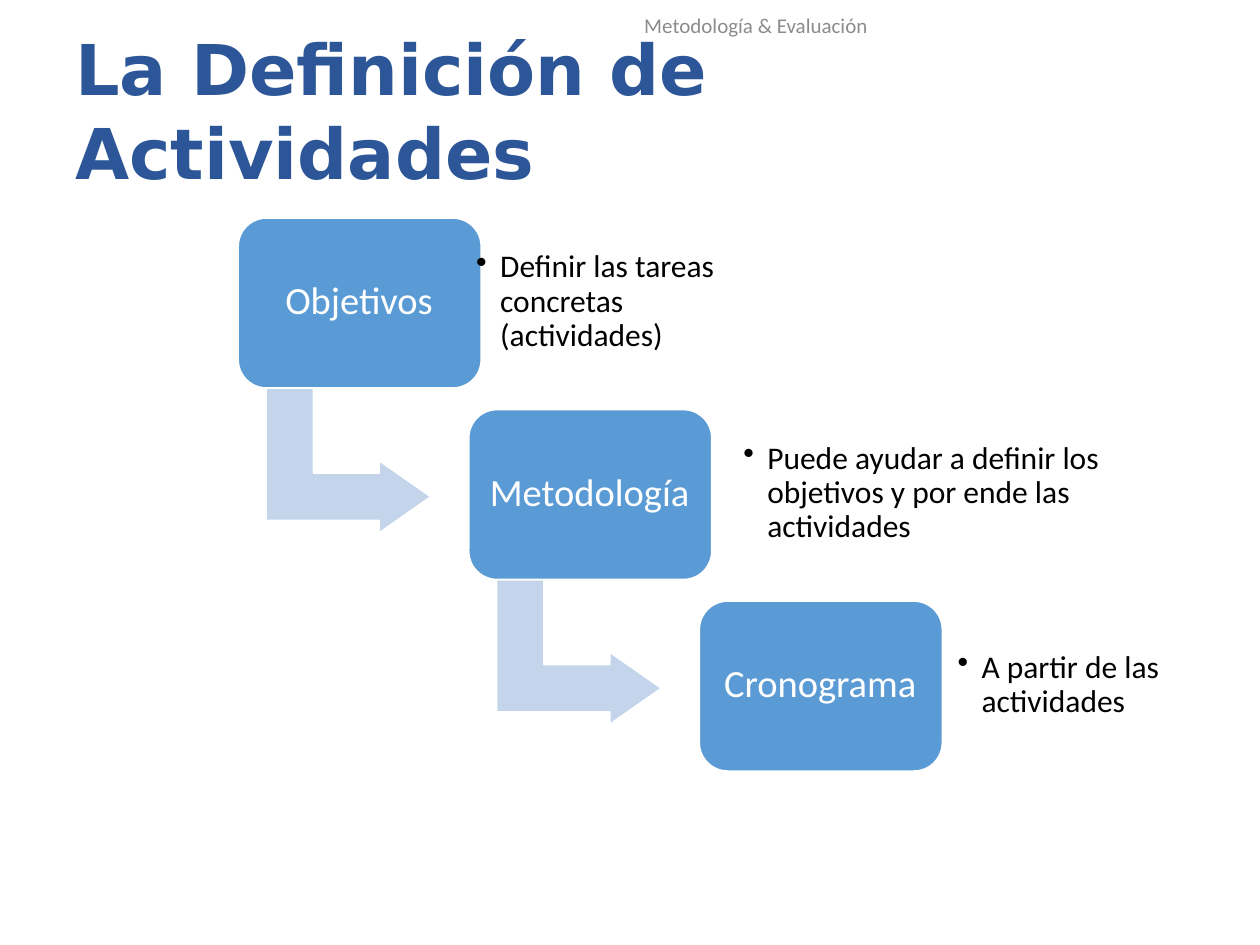
from lxml import etree
from pptx import Presentation
from pptx.dml.color import RGBColor
from pptx.enum.shapes import MSO_SHAPE
from pptx.enum.text import MSO_ANCHOR, PP_ALIGN
from pptx.oxml.ns import qn
from pptx.util import Inches, Pt

ROUNDED = MSO_SHAPE.ROUNDED_RECTANGLE
BENT_ARROW = MSO_SHAPE.BENT_UP_ARROW
MIDDLE = MSO_ANCHOR.MIDDLE
LEFT = PP_ALIGN.LEFT
CENTER = PP_ALIGN.CENTER

TITLE_BLUE = RGBColor(0x2C, 0x56, 0x97)
STEP_BLUE = RGBColor(0x5B, 0x9B, 0xD5)
ARROW_BLUE = RGBColor(0xC4, 0xD5, 0xEB)
HEADER_GRAY = RGBColor(0x8C, 0x8C, 0x8C)
WHITE = RGBColor(0xFF, 0xFF, 0xFF)
BLACK = RGBColor(0x00, 0x00, 0x00)

STEP_LEFT, STEP_TOP = 1.89, 1.73
STEP_RIGHT, STEP_DOWN = 1.83, 1.52
STEPS = [
    ("Objetivos", "Definir las tareas concretas (actividades)", 3.71, 2.37),
    ("Metodología", "Puede ayudar a definir los objetivos y por ende las actividades", 5.83, 3.13),
    ("Cronograma", "A partir de las actividades", 7.53, 1.85),
]


def add_text(page, text, place, size, color, font="Calibri", align=LEFT,
             insets=(0.1, 0.05), bold=False, spacing=None, bullet=False):
    box = page.shapes.add_textbox(*map(Inches, place))
    frame = box.text_frame
    frame.word_wrap = True
    frame.vertical_anchor = MIDDLE
    frame.margin_left = frame.margin_right = Inches(insets[0])
    frame.margin_top = frame.margin_bottom = Inches(insets[1])
    frame.text = text
    para = frame.paragraphs[0]
    para.alignment = align
    if spacing:
        para.line_spacing = spacing
    if bullet:
        add_bullet(para)
    span = para.runs[0]
    span.font.name = font
    span.font.size = Pt(size)
    span.font.bold = bold
    span.font.color.rgb = color


def add_bullet(para):
    para.level = 1
    properties = para._p.get_or_add_pPr()
    properties.set("marL", str(Inches(0.19)))
    properties.set("indent", str(Inches(-0.19)))
    etree.SubElement(properties, qn("a:buChar")).set("char", "•")


def add_block(page, kind, place, fill, adjustments, rotation=0):
    shape = page.shapes.add_shape(kind, *map(Inches, place))
    shape.shadow.inherit = False
    shape.rotation = rotation
    shape.fill.solid()
    shape.fill.fore_color.rgb = fill
    shape.line.color.rgb = WHITE
    shape.line.width = Pt(1)
    for index, value in enumerate(adjustments):
        shape.adjustments[index] = value


def add_step(page, index, label, note, note_left, note_width):
    left = STEP_LEFT + index * STEP_RIGHT
    top = STEP_TOP + index * STEP_DOWN
    if index < len(STEPS) - 1:
        add_block(page, BENT_ARROW, (left + 0.3, top + 1.27, 1.15, 1.31),
                  ARROW_BLUE, (0.328, 0.25, 0.358), 90)
    add_block(page, ROUNDED, (left, top, 1.93, 1.35), STEP_BLUE, (0.167,))
    add_text(page, label, (left + 0.06, top + 0.06, 1.8, 1.22), 22, WHITE,
             align=CENTER, insets=(0.09, 0.09), spacing=0.9)
    add_text(page, note, (note_left, top + 0.12, note_width, 1.09), 18, BLACK,
             insets=(0.07, 0.07), spacing=0.9, bullet=True)


def main():
    deck = Presentation()
    deck.slide_width, deck.slide_height = Inches(10), Inches(7.5)
    page = deck.slides.add_slide(deck.slide_layouts[6])
    add_text(page, "La Definición de Actividades", (0.5, 0.33, 9, 1.08), 40,
             TITLE_BLUE, font="DejaVu Sans", bold=True)
    for index, step in enumerate(STEPS):
        add_step(page, index, *step)
    add_text(page, "Metodología & Evaluación", (3.75, 0.02, 4.5, 0.36), 12,
             HEADER_GRAY, align=CENTER)
    deck.save("out.pptx")


if __name__ == "__main__":
    main()
